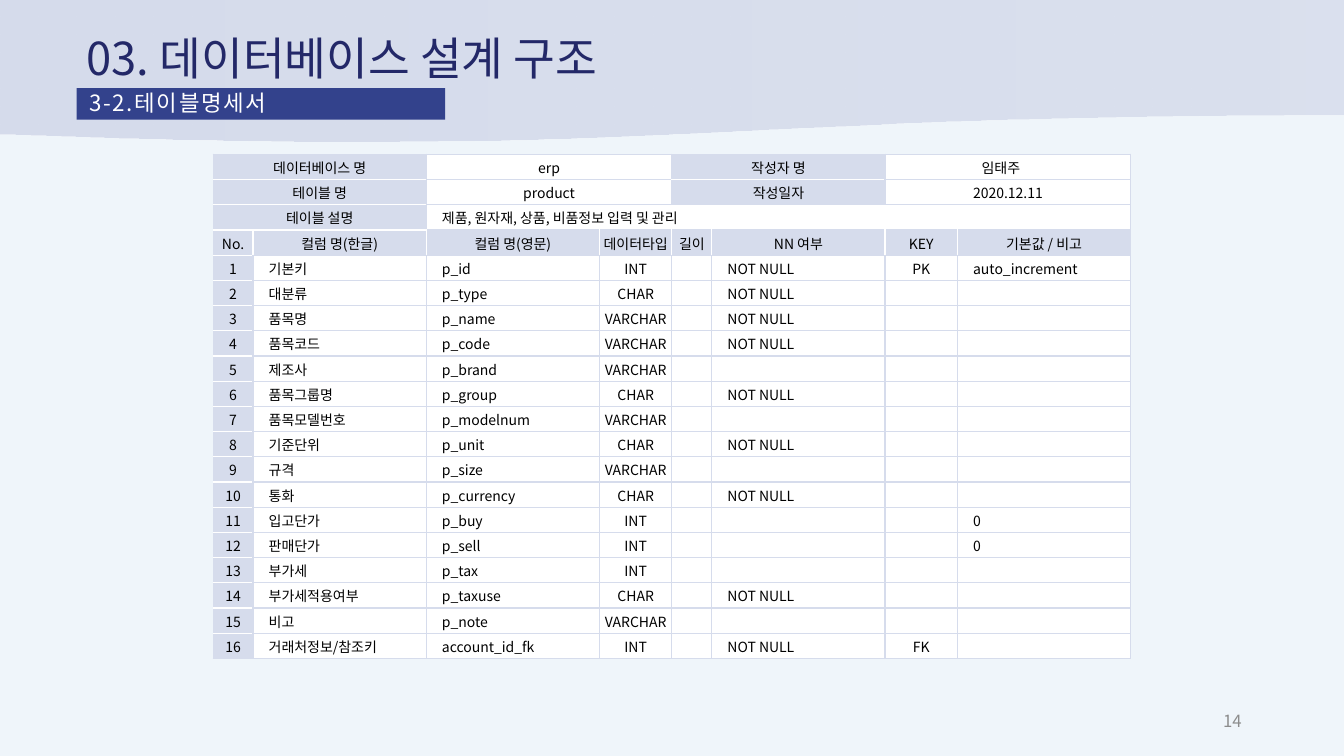
from dataclasses import dataclass

from lxml import etree
from pptx import Presentation, util as u
from pptx.dml.color import RGBColor
from pptx.enum import shapes, text
from pptx.oxml import ns

PX = 9525
ALIGN = text.PP_ALIGN
MID = text.MSO_ANCHOR.MIDDLE


@dataclass(frozen=True)
class Theme:
    """Colours, font and type sizes of the slide."""
    font: str = "Noto Sans CJK KR"
    back: str = "EFF5FA"
    pale: str = "D6DCEC"
    white: str = "FFFFFF"
    black: str = "000000"
    navy: str = "232868"
    blue: str = "33428C"
    grey: str = "8C8C8C"
    title: float = 32.4
    sub: float = 16
    page: float = 12
    cell: float = 10


T = Theme()
COLS = (38, 165, 165, 69, 38, 165, 69, 165)
ROW = 24
HEAD = 3
MERGED = (
    (0, 0, 2, "데이터베이스 명"), (0, 2, 2, "erp"),
    (0, 4, 2, "작성자 명"), (0, 6, 2, "임태주　"),
    (1, 0, 2, "테이블 명"), (1, 2, 2, "product"),
    (1, 4, 2, "작성일자"), (1, 6, 2, "2020.12.11"),
    (2, 0, 2, "테이블 설명"), (2, 2, 6, "제품, 원자재, 상품, 비품정보 입력 및 관리"),
)
NAMES = ("No.", "컬럼 명(한글)", "컬럼 명(영문)", "데이터타입", "길이",
         "NN 여부", "KEY", "기본값 / 비고")
NN = "NOT NULL"
FIELDS = (
    ("기본키", "p_id", "INT", NN, "PK", "auto_increment"),
    ("대분류", "p_type", "CHAR", NN, "", ""),
    ("품목명", "p_name", "VARCHAR", NN, "", ""),
    ("품목코드", "p_code", "VARCHAR", NN, "", ""),
    ("제조사", "p_brand", "VARCHAR", "", "", ""),
    ("품목그룹명", "p_group", "CHAR", NN, "", ""),
    ("품목모델번호", "p_modelnum", "VARCHAR", "", "", ""),
    ("기준단위", "p_unit", "CHAR", NN, "", ""),
    ("규격", "p_size", "VARCHAR", "", "", ""),
    ("통화", "p_currency", "CHAR", NN, "", ""),
    ("입고단가", "p_buy", "INT", "", "", "0"),
    ("판매단가", "p_sell", "INT", "", "", "0"),
    ("부가세", "p_tax", "INT", "", "", ""),
    ("부가세적용여부", "p_taxuse", "CHAR", NN, "", ""),
    ("비고", "p_note", "VARCHAR", "", "", ""),
    ("거래처정보/참조키", "account_id_fk", "INT", NN, "FK", ""),
)
LAST = HEAD + len(FIELDS)


def rgb(tone):
    """Turn a hex colour into an RGBColor."""
    return RGBColor.from_string(tone)


def box(*at):
    """Turn px lengths into EMU."""
    return [u.Emu(n * PX) for n in at]


def sub(node, tag, **attrs):
    """Append one XML element to a node."""
    return etree.SubElement(node, ns.qn(tag), attrs)


def add_run(para, words, size, tone, track=None):
    """Add one styled run to a paragraph."""
    run = para.add_run()
    run.text = words
    run.font.name = T.font
    run.font.size = u.Pt(size)
    run.font.color.rgb = rgb(tone)
    props = run.font._element
    sub(props, "a:ea", typeface=T.font)
    if track:
        props.set("spc", str(track))


def add_text(slide, at, words, size, tone, align):
    """Add a text box with one line, centred in height."""
    frame = slide.shapes.add_textbox(*box(*at)).text_frame
    frame.word_wrap = True
    frame.vertical_anchor = MID
    para = frame.paragraphs[0]
    para.alignment = align
    add_run(para, words, size, tone)


def add_wave(slide):
    """Draw the curved band along the top."""
    kind = shapes.MSO_SHAPE.FLOWCHART_DOCUMENT
    wave = slide.shapes.add_shape(kind, *box(0, 0, 1280, 137))
    wave.shadow.inherit = False
    wave.line.fill.background()
    wave.fill.gradient()
    wave.fill.gradient_angle = 0
    stops = wave.fill.gradient_stops
    for stop, place in zip(stops, (0, 1)):
        stop.position = place
        stop.color.rgb = rgb(T.pale)
    tone = wave._element.spPr.findall(".//" + ns.qn("a:srgbClr"))[-1]
    sub(tone, "a:alpha", val="80000")


def add_bar(slide, words):
    """Draw the section bar and its label."""
    bar = slide.shapes.add_shape(shapes.MSO_SHAPE.RECTANGLE,
                                 *box(73, 84, 351, 30))
    bar.shadow.inherit = False
    bar.fill.solid()
    bar.fill.fore_color.rgb = rgb(T.blue)
    bar.line.fill.background()
    frame = bar.text_frame
    frame.word_wrap = True
    frame.vertical_anchor = text.MSO_ANCHOR.TOP
    (frame.margin_left, frame.margin_top,
     frame.margin_right, frame.margin_bottom) = box(12, 4, 12, 5)
    para = frame.paragraphs[0]
    para.alignment = ALIGN.JUSTIFY
    para.line_spacing = 0.9
    add_run(para, words, T.sub, T.white, 120)


def shaded(row, col):
    """Tell whether a grid cell is a label cell."""
    if row < 2:
        return col in (0, 1, 4, 5)
    if row == 2:
        return col < 2
    return row == HEAD or row <= LAST and col == 0


def add_edges(cell, row, col):
    """Set borders: white between label cells, pale elsewhere."""
    here = shaded(row, col)
    white = {
        "L": row == HEAD and col > 0,
        "R": row == HEAD and col < len(COLS) - 1,
        "T": row > 0 and here and shaded(row - 1, col),
        "B": here and shaded(row + 1, col),
    }
    props = cell._tc.get_or_add_tcPr()
    for side, flag in white.items():
        line = sub(props, "a:ln" + side, w="12700")
        fill = sub(line, "a:solidFill")
        sub(fill, "a:srgbClr", val=T.white if flag else T.pale)


def fill_cell(cell, words, left):
    """Write one cell's text, centred or indented from the left."""
    (cell.margin_left, cell.margin_top,
     cell.margin_right, cell.margin_bottom) = box(15 if left else 1, 1, 1, 0)
    cell.vertical_anchor = MID
    para = cell.text_frame.paragraphs[0]
    para.alignment = ALIGN.LEFT if left else ALIGN.CENTER
    if words:
        add_run(para, words, T.cell, T.black)
    else:
        sub(para._p, "a:endParaRPr", sz=str(T.cell * 100))


def add_grid(slide):
    """Build the table specification."""
    count = LAST + 1
    at = box(203, 147, sum(COLS), ROW * count)
    grid = slide.shapes.add_table(count, len(COLS), *at).table
    grid.first_row = grid.horz_banding = False
    for col, width in zip(grid.columns, COLS):
        col.width = u.Emu(width * PX)
    for r, line in enumerate(grid.rows):
        line.height = u.Emu(ROW * PX)
        for c, cell in enumerate(line.cells):
            add_edges(cell, r, c)
            cell.fill.solid()
            cell.fill.fore_color.rgb = rgb(T.pale if shaded(r, c) else T.white)
    for r, c, span, words in MERGED:
        cell = grid.cell(r, c)
        cell.merge(grid.cell(r, c + span - 1))
        fill_cell(cell, words, span == 6)
    for c, words in enumerate(NAMES):
        fill_cell(grid.cell(HEAD, c), words, False)
    for n, (label, name, kind, *rest) in enumerate(FIELDS, 1):
        for c, words in enumerate((str(n), label, name, kind, "", *rest)):
            fill_cell(grid.cell(HEAD + n, c), words, c in (1, 2, 5, 7))


def main():
    """Build and save the slide."""
    deck = Presentation()
    deck.slide_width, deck.slide_height = box(1280, 720)
    slide = deck.slides.add_slide(deck.slide_layouts[6])
    slide.background.fill.solid()
    slide.background.fill.fore_color.rgb = rgb(T.back)
    add_wave(slide)
    add_text(slide, (904, 667, 288, 38), "14", T.page, T.grey, ALIGN.RIGHT)
    add_grid(slide)
    add_text(slide, (73, 27, 821, 56), "03. 데이터베이스 설계 구조",
             T.title, T.navy, ALIGN.LEFT)
    add_bar(slide, "3-2.테이블명세서")
    deck.save("out.pptx")


if __name__ == "__main__":
    main()
